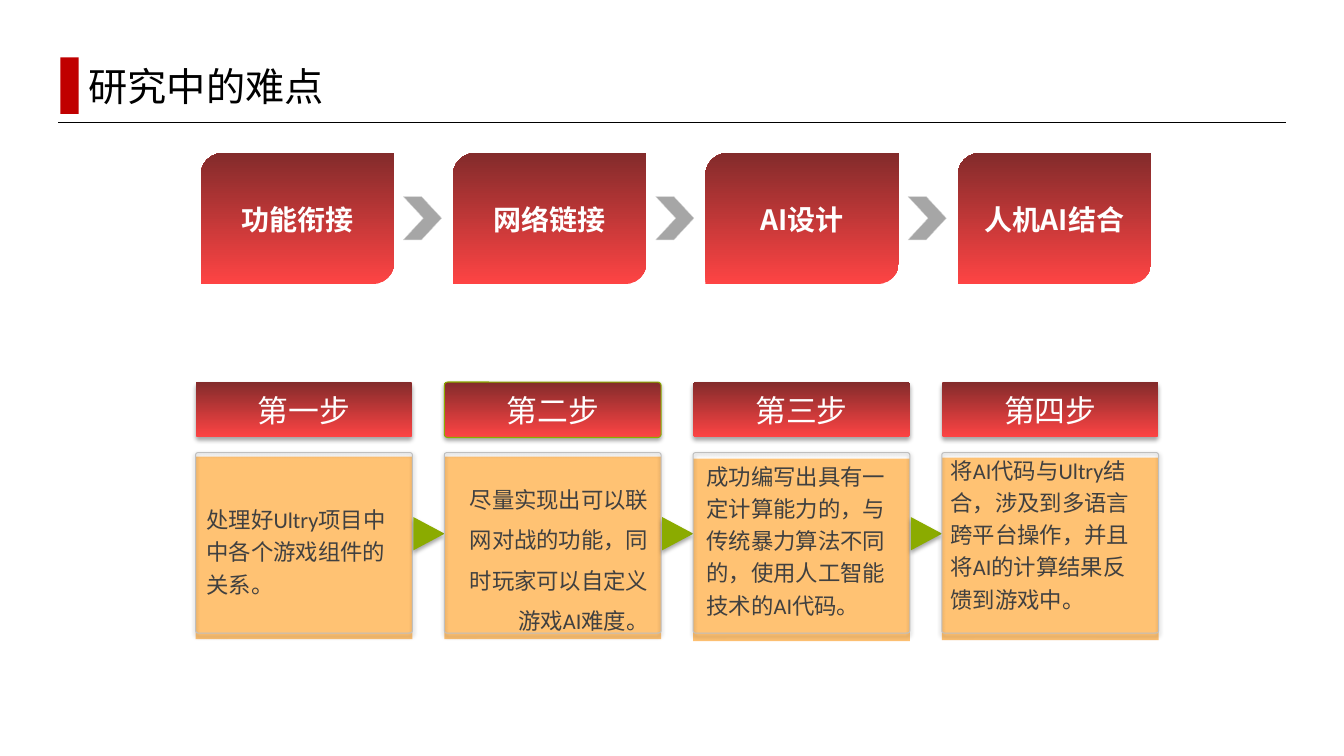
from lxml.etree import SubElement
from pptx import Presentation
from pptx.dml.color import RGBColor
from pptx.enum.shapes import MSO_CONNECTOR, MSO_SHAPE
from pptx.enum.text import MSO_ANCHOR, MSO_AUTO_SIZE, PP_ALIGN
from pptx.oxml.ns import qn
from pptx.util import Inches, Pt

CJK_FONT = "Noto Sans CJK SC"
RED_GRADIENT = ("FE4444", "832B2B")
GREEN = "8BAB00"

TOPICS = ["功能衔接", "网络链接", "AI设计", "人机AI结合"]
TOPIC_LEFT, TOPIC_PITCH, TOPIC_WIDTH = 1.99, 2.503, 1.92

STEP_LEFT, STEP_PITCH, STEP_WIDTH = 1.94, 2.467, 2.15
# heading, top of backing, body text, body left, body top, body height, body format
STEPS = [
    ("第一步", 4.53, "处理好Ultry项目中中各个游戏组件的关系。", 1.95, 4.92, 1.39, {}),
    ("第二步", 4.53, "尽量实现出可以联网对战的功能，同时玩家可以自定义游戏AI难度。",
     4.39, 4.64, 1.72, {"align": PP_ALIGN.RIGHT, "spacing": 1.5}),
    ("第三步", 4.55, "成功编写出具有一定计算能力的，与传统暴力算法不同的，使用人工智能技术的AI代码。",
     6.91, 4.49, 2.04, {}),
    ("第四步", 4.54, "将AI代码与Ultry结合，涉及到多语言跨平台操作，并且将AI的计算结果反馈到游戏中。",
     9.33, 4.43, 2.04, {}),
]


def rgb(color):
    return RGBColor.from_string(color)


def add_shadow(shape, opacity, distance):
    """Cast a soft black shadow straight down; opacity in percent, distance in points."""
    effects = shape._element.spPr.find(qn("a:effectLst"))
    shadow = SubElement(effects, qn("a:outerShdw"), blurRad=str(Pt(3.1)), dist=str(Pt(distance)),
                        dir="5400000", algn="t", rotWithShape="0")
    black = SubElement(shadow, qn("a:srgbClr"), val="000000")
    SubElement(black, qn("a:alpha"), val=str(opacity * 1000))


def add_box(slide, kind, left, top, width, height, fill=None, line=None, line_width=0.75,
            adjustment=None, opacity=None):
    """Add a preset shape; fill is a colour, a (bottom, top) gradient pair or None."""
    shape = slide.shapes.add_shape(kind, Inches(left), Inches(top), Inches(width), Inches(height))
    shape.shadow.inherit = False
    if adjustment is not None:
        shape.adjustments[0] = adjustment
    if fill is None:
        shape.fill.background()
    elif isinstance(fill, tuple):
        shape.fill.gradient()
        shape.fill.gradient_angle = 90
        for stop, color in zip(shape.fill.gradient_stops, fill):
            stop.color.rgb = rgb(color)
    else:
        shape.fill.solid()
        shape.fill.fore_color.rgb = rgb(fill)
    if opacity is not None:
        color_element = shape._element.spPr.find(qn("a:solidFill"))[0]
        SubElement(color_element, qn("a:alpha"), val=str(opacity * 1000))
    if line is None:
        shape.line.fill.background()
    else:
        shape.line.color.rgb = rgb(line)
        shape.line.width = Pt(line_width)
    return shape


def write_text(frame, text, size=16, font=CJK_FONT, color="FFFFFF", bold=False,
               align=PP_ALIGN.LEFT, spacing=None):
    paragraph = frame.paragraphs[0]
    paragraph.alignment = align
    if spacing:
        paragraph.line_spacing = spacing
    run = paragraph.add_run()
    run.text = text
    run.font.size = Pt(size)
    run.font.name = font
    run.font.bold = bold
    run.font.color.rgb = rgb(color)
    SubElement(run._r.get_or_add_rPr(), qn("a:ea"), typeface=CJK_FONT)


def add_label(slide, left, top, width, height, text, **text_format):
    frame = slide.shapes.add_textbox(
        Inches(left), Inches(top), Inches(width), Inches(height)).text_frame
    frame.word_wrap = True
    frame.auto_size = MSO_AUTO_SIZE.SHAPE_TO_FIT_TEXT
    write_text(frame, text, **text_format)


def add_title(slide, text):
    add_box(slide, MSO_SHAPE.RECTANGLE, 0.6, 0.57, 0.18, 0.56, fill="C00000")
    add_label(slide, 0.78, 0.57, 4.15, 0.57, text, size=28, color="000000")
    rule = slide.shapes.add_connector(
        MSO_CONNECTOR.STRAIGHT, Inches(0.58), Inches(1.21), Inches(12.75), Inches(1.21))
    rule.line.color.rgb = rgb("000000")
    rule.line.width = Pt(0.5)
    SubElement(rule._element.spPr, qn("a:effectLst"))


def add_topics(slide):
    for index, topic in enumerate(TOPICS):
        left = TOPIC_LEFT + index * TOPIC_PITCH
        add_box(slide, MSO_SHAPE.ROUND_2_DIAG_RECTANGLE, left, 1.52, TOPIC_WIDTH, 1.3,
                fill=RED_GRADIENT)
        add_label(slide, left - 0.03, 1.96, TOPIC_WIDTH + 0.06, 0.44, topic, size=20, bold=True,
                  align=PP_ALIGN.CENTER)
        if index < len(TOPICS) - 1:
            add_box(slide, MSO_SHAPE.CHEVRON, left + 2.01, 1.95, 0.38, 0.43, fill="A6A6A6",
                    line="D7D7D7", line_width=0.25, adjustment=0.525)


def add_step(slide, index, heading, backing_top, body, body_left, body_top, body_height,
             body_format):
    left = STEP_LEFT + index * STEP_PITCH
    add_box(slide, MSO_SHAPE.RECTANGLE, left, backing_top, STEP_WIDTH, 1.81,
            fill="FFB351", opacity=80)
    header = add_box(slide, MSO_SHAPE.ROUNDED_RECTANGLE, left, 3.79, STEP_WIDTH, 0.55,
                     fill=RED_GRADIENT, line=GREEN if index == 1 else None, adjustment=0.06)
    add_shadow(header, 35, 1.8)
    header.text_frame.word_wrap = False
    header.text_frame.vertical_anchor = MSO_ANCHOR.MIDDLE
    write_text(header.text_frame, heading, size=22, align=PP_ALIGN.CENTER)
    panel = add_box(slide, MSO_SHAPE.ROUNDED_RECTANGLE, left, 4.49, STEP_WIDTH, 1.79,
                    line="BFBFBF", adjustment=0.013)
    add_shadow(panel, 38, 1.6)
    if index < len(STEPS) - 1:
        arrow = add_box(slide, MSO_SHAPE.FLOWCHART_EXTRACT, left + STEP_WIDTH, 5.14, 0.33, 0.31,
                        fill=GREEN)
        arrow.rotation = 90
        add_shadow(arrow, 35, 1.8)
    text_format = {"font": "Calibri", "color": "404040", "spacing": 1.2, **body_format}
    add_label(slide, body_left, body_top, 2.14, body_height, body, **text_format)


def main():
    presentation = Presentation()
    presentation.slide_width = Inches(13.33)
    presentation.slide_height = Inches(7.5)
    slide = presentation.slides.add_slide(presentation.slide_layouts[6])
    for index, step in enumerate(STEPS):
        add_step(slide, index, *step)
    add_topics(slide)
    add_title(slide, "研究中的难点")
    presentation.save("out.pptx")


if __name__ == "__main__":
    main()
